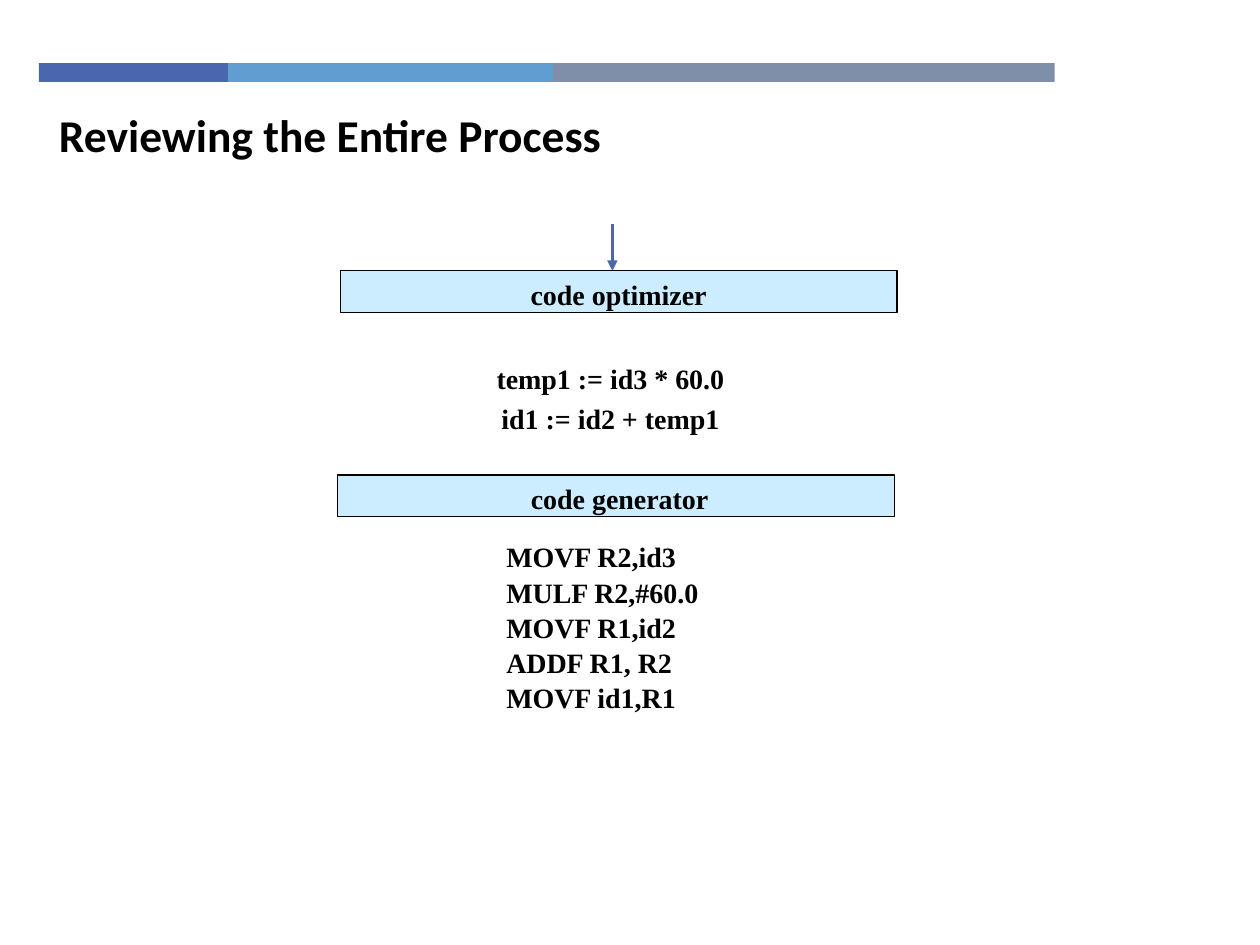
import pptx
import pptx.util
import pptx.dml.color
import pptx.enum.shapes
import pptx.enum.text
import pptx.oxml.ns
from lxml import etree

Inches, Pt = pptx.util.Inches, pptx.util.Pt
RGBColor = pptx.dml.color.RGBColor
PP_ALIGN = pptx.enum.text.PP_ALIGN

BLACK = RGBColor(0x00, 0x00, 0x00)
BLUE = RGBColor(0x4A, 0x66, 0xAC)
SKY = RGBColor(0x62, 0x9D, 0xD1)
SLATE = RGBColor(0x7F, 0x8F, 0xA9)
PALE = RGBColor(0xCC, 0xEC, 0xFF)


def add_rect(s, x, y, w, h, fill, line=None):
    """Add a flat rectangle, outlined only when a line colour is given."""
    sp = s.shapes.add_shape(pptx.enum.shapes.MSO_SHAPE.RECTANGLE,
                            Inches(x), Inches(y), Inches(w), Inches(h))
    sp.shadow.inherit = False
    sp.fill.solid()
    sp.fill.fore_color.rgb = fill
    if line is None:
        sp.line.fill.background()
    else:
        sp.line.color.rgb = line
        sp.line.width = Pt(0.75)


def add_text(s, text, x, y, w, h, font="Times New Roman", size=16,
             align=PP_ALIGN.LEFT, spacing=1.0, before=0, grow=True):
    """Add bold text; spacing and before apply after the first paragraph."""
    sp = s.shapes.add_textbox(Inches(x), Inches(y), Inches(w), Inches(h))
    tf = sp.text_frame
    tf.word_wrap = True
    if grow:
        tf.auto_size = pptx.enum.text.MSO_AUTO_SIZE.SHAPE_TO_FIT_TEXT
    for i, line in enumerate(text.split("\n")):
        p = tf.add_paragraph() if i else tf.paragraphs[0]
        p.alignment = align
        if i:
            p.line_spacing = spacing
            p.space_before = Pt(before)
        r = p.add_run()
        r.text = line
        r.font.name = font
        r.font.size = Pt(size)
        r.font.bold = True
        r.font.color.rgb = BLACK


def add_arrow(s, x1, y1, x2, y2):
    """Add a straight arrow pointing at its second end."""
    sp = s.shapes.add_connector(pptx.enum.shapes.MSO_CONNECTOR.STRAIGHT,
                                Inches(x1), Inches(y1), Inches(x2), Inches(y2))
    sp.line.color.rgb = BLUE
    sp.line.width = Pt(2)
    qn = pptx.oxml.ns.qn
    etree.SubElement(sp.line._get_or_add_ln(), qn("a:tailEnd"), type="triangle")
    etree.SubElement(sp._element.spPr, qn("a:effectLst"))


def add_phase(s, name, x, y):
    """Add a compiler phase: a pale box with its centred name."""
    add_rect(s, x, y, 4.42, 0.33, PALE, BLACK)
    add_text(s, name, x + 0.17, y, 4.08, 0.37, align=PP_ALIGN.CENTER)


def add_banner(s):
    """Add the band of three colours above the title."""
    x = 0.31
    for w, fill in ((1.5, BLUE), (2.58, SKY), (3.98, SLATE)):
        add_rect(s, x, 0.5, w, 0.15, fill)
        x += w


def main():
    """Build and save the slide."""
    prs = pptx.Presentation()
    prs.slide_width, prs.slide_height = Inches(10), Inches(7.5)
    s = prs.slides.add_slide(prs.slide_layouts[6])

    add_banner(s)
    add_text(s, "Reviewing the Entire Process", 0.37, 0.8, 7.16, 0.54,
             font="Calibri", size=26, grow=False)
    add_arrow(s, 4.86, 1.78, 4.86, 2.15)
    add_phase(s, "code optimizer", 2.7, 2.15)
    add_text(s, "temp1 := id3 * 60.0\nid1 := id2 + temp1", 3.01, 2.82, 3.67, 0.7,
             align=PP_ALIGN.CENTER, spacing=0.7, before=9)
    add_phase(s, " code generator", 2.68, 3.77)
    add_text(s, "MOVF R2,id3\nMULF R2,#60.0\nMOVF R1,id2\nADDF R1, R2\nMOVF id1,R1",
             3.92, 4.23, 2.33, 1.57, spacing=0.6, before=8.5)

    prs.save("out.pptx")


main()
